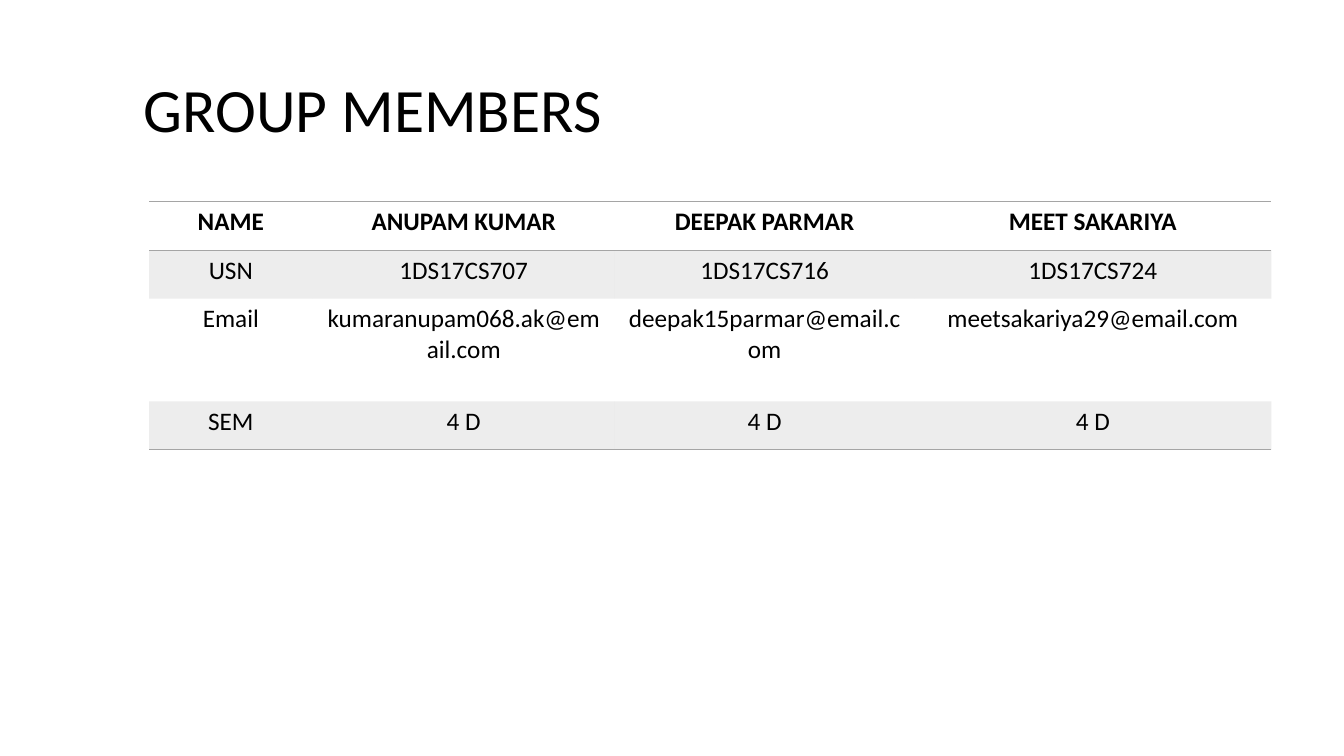
from lxml.etree import SubElement
from pptx import Presentation
from pptx.dml.color import RGBColor as RGB
from pptx.enum.text import MSO_ANCHOR as Anchor, PP_ALIGN as Align
from pptx.oxml.ns import qn
from pptx.util import Inches, Pt

BLACK = RGB(0x00, 0x00, 0x00)
GRAY = RGB(0xA5, 0xA5, 0xA5)
PLAIN = "{2D5ABB26-0587-4C30-8999-92F81FD0307C}"  # table style without grid


class Deck:
    font = "Calibri"

    def __init__(self, wide, high):
        self.prs = Presentation()
        self.wide = self.prs.slide_width = Inches(wide)
        self.high = self.prs.slide_height = Inches(high)
        self.slide = self.prs.slides.add_slide(self.prs.slide_layouts[5])

    def place(self, left, top, width, height):
        """Turn shares of the slide into lengths."""
        return (int(left * self.wide), int(top * self.high),
                int(width * self.wide), int(height * self.high))

    def label(self, frame, text, size, align, bold=False):
        frame.text = text
        para = frame.paragraphs[0]
        para.alignment = align
        font = para.runs[0].font
        font.name, font.size, font.bold = self.font, Pt(size), bold
        font.color.rgb = BLACK
        return para

    def title(self, text, box, inset):
        shape = self.slide.shapes.title
        shape.left, shape.top, shape.width, shape.height = self.place(*box)
        frame = shape.text_frame
        frame.word_wrap = True
        frame.vertical_anchor = Anchor.MIDDLE
        frame.margin_left = int(inset * self.wide)
        self.label(frame, text, 44, Align.LEFT).line_spacing = 0.9

    def rule(self, cell, side):
        line = SubElement(cell._tc.get_or_add_tcPr(), qn("a:ln" + side), w=str(Pt(1)))
        fill = SubElement(line, qn("a:solidFill"))
        SubElement(fill, qn("a:srgbClr"), val=str(GRAY))

    def shade(self, cell, share):
        cell.fill.solid()
        cell.fill.fore_color.rgb = GRAY
        color = cell._tc.tcPr.find(qn("a:solidFill"))[0]
        SubElement(color, qn("a:alpha"), val=str(share * 1000))

    def table(self, rows, box, cols, highs):
        grid = self.slide.shapes.add_table(len(rows), len(cols), *self.place(*box)).table
        grid.horz_banding = False
        grid._tbl.tblPr.find(qn("a:tableStyleId")).text = PLAIN
        for col, width in zip(grid.columns, cols):
            col.width = Inches(width)
        for r, (row, high) in enumerate(zip(rows, highs)):
            grid.rows[r].height = Inches(high)
            for c, text in enumerate(row):
                cell = grid.cell(r, c)
                self.label(cell.text_frame, text, 18, Align.CENTER, r == 0)
                # Lines frame the head row and close the table
                if r == 0:
                    self.rule(cell, "T")
                if r in (0, len(rows) - 1):
                    self.rule(cell, "B")
                # Every second row is tinted
                if r % 2:
                    self.shade(cell, 20)
                else:
                    cell.fill.background()

    def save(self):
        self.prs.save("out.pptx")


deck = Deck(13.33, 7.5)

# Heading
deck.title("GROUP MEMBERS", (0.069, 0.053, 0.863, 0.193), 0.038)

# Members, one per column
members = [
    ("NAME", "USN", "Email", "SEM"),
    ("ANUPAM KUMAR", "1DS17CS707", "kumaranupam068.ak@email.com", "4 D"),
    ("DEEPAK PARMAR", "1DS17CS716", "deepak15parmar@email.com", "4 D"),
    ("MEET SAKARIYA", "1DS17CS724", "meetsakariya29@email.com", "4 D"),
]
deck.table(list(zip(*members)), (0.111, 0.267, 0.835, 0.328),
           (1.62, 3, 2.97, 3.54), (0.48, 0.48, 1.02, 0.48))

deck.save()
